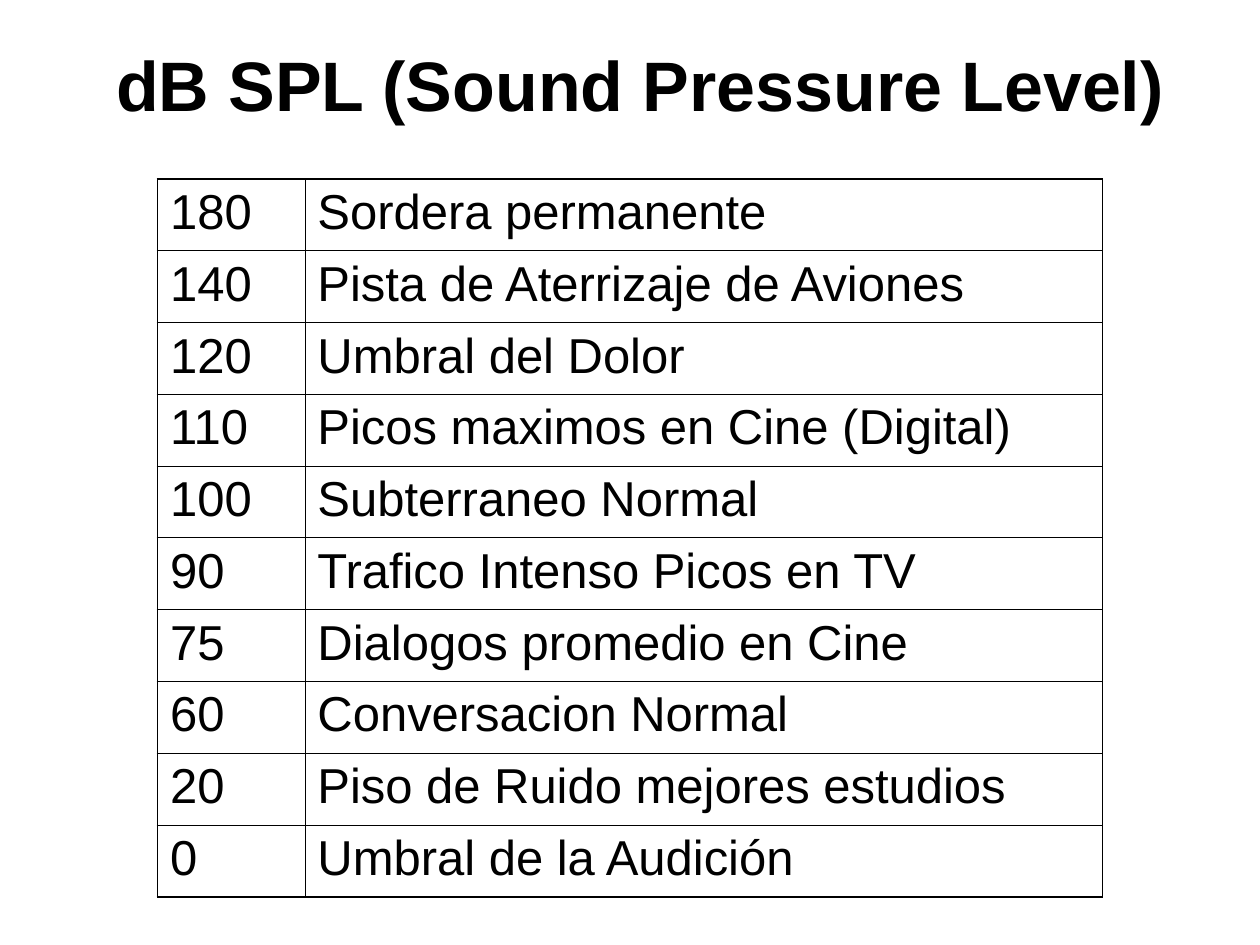
import pptx
import pptx.dml.color
import pptx.enum.text
import pptx.oxml
import pptx.oxml.ns
import pptx.util

W, H = 10, 7.5
FONT = "Arial"
BLACK = "000000"
OUTER, INNER = 1.08, 0.45
COLS = (1.17, 6.33)
ROW_H = 0.57
LEVELS = [
    ("180", "Sordera permanente"),
    ("140", "Pista de Aterrizaje de Aviones"),
    ("120", "Umbral del Dolor"),
    ("110", "Picos maximos en Cine (Digital)"),
    ("100", "Subterraneo Normal"),
    ("90", "Trafico Intenso Picos en TV"),
    ("75", "Dialogos promedio en Cine"),
    ("60", "Conversacion Normal"),
    ("20", "Piso de Ruido mejores estudios"),
    ("0", "Umbral de la Audición"),
]


def inch(value):
    """Convert inches to a length."""
    return pptx.util.Inches(value)


def rgb(value):
    """Convert a hex string to a colour."""
    return pptx.dml.color.RGBColor.from_string(value)


def write(tf, text, size=28, bold=False, color=BLACK, align="LEFT", before=0):
    """Put one formatted paragraph into a text frame."""
    p = tf.paragraphs[0]
    p.alignment = getattr(pptx.enum.text.PP_ALIGN, align)
    p.space_before = pptx.util.Pt(before)
    r = p.add_run()
    r.text = text
    r.font.name = FONT
    r.font.size = pptx.util.Pt(size)
    r.font.bold = bold
    r.font.color.rgb = rgb(color)


def set_borders(cell, widths, color=BLACK):
    """Draw the cell's edges; widths maps L, R, T and B to points."""
    tc_pr = cell._tc.get_or_add_tcPr()
    for i, side in enumerate("LRTB"):
        ln = pptx.oxml.parse_xml(
            f'<a:ln{side} {pptx.oxml.ns.nsdecls("a")} '
            f'w="{int(pptx.util.Pt(widths[side]))}"><a:solidFill>'
            f'<a:srgbClr val="{color}"/></a:solidFill></a:ln{side}>')
        tc_pr.insert(i, ln)


def add_title(s, text):
    """Place and fill the title placeholder."""
    sp = s.shapes.title
    sp.left, sp.top = inch(0.058 * W), 0
    sp.width, sp.height = inch(0.9 * W), inch(0.176 * H)
    tf = sp.text_frame
    tf.word_wrap = True
    tf.vertical_anchor = pptx.enum.text.MSO_ANCHOR.MIDDLE
    write(tf, text, size=40, bold=True, align="CENTER")


def add_level_table(s, rows):
    """Add the ruled table of sound levels, centred across the slide."""
    last_row, last_col = len(rows) - 1, len(COLS) - 1
    width = sum(COLS)
    frame = s.shapes.add_table(
        len(rows), len(COLS), inch((W - width) / 2), inch(1.42),
        inch(width), inch(ROW_H * len(rows)))
    table = frame.table
    table.first_row = table.horz_banding = False
    for col, col_width in zip(table.columns, COLS):
        col.width = inch(col_width)
    for i, row in enumerate(rows):
        table.rows[i].height = inch(ROW_H)
        for j, text in enumerate(row):
            cell = table.cell(i, j)
            cell.fill.background()
            edges = {"L": j == 0, "R": j == last_col,
                     "T": i == 0, "B": i == last_row}
            set_borders(cell, {side: OUTER if outer else INNER
                               for side, outer in edges.items()})
            write(cell.text_frame, text, before=7)


def main():
    """Build and save the slide."""
    prs = pptx.Presentation()
    prs.slide_width, prs.slide_height = inch(W), inch(H)
    s = prs.slides.add_slide(prs.slide_layouts.get_by_name("Title Only"))
    add_title(s, "dB SPL (Sound Pressure Level)")
    add_level_table(s, LEVELS)
    prs.save("out.pptx")


main()
